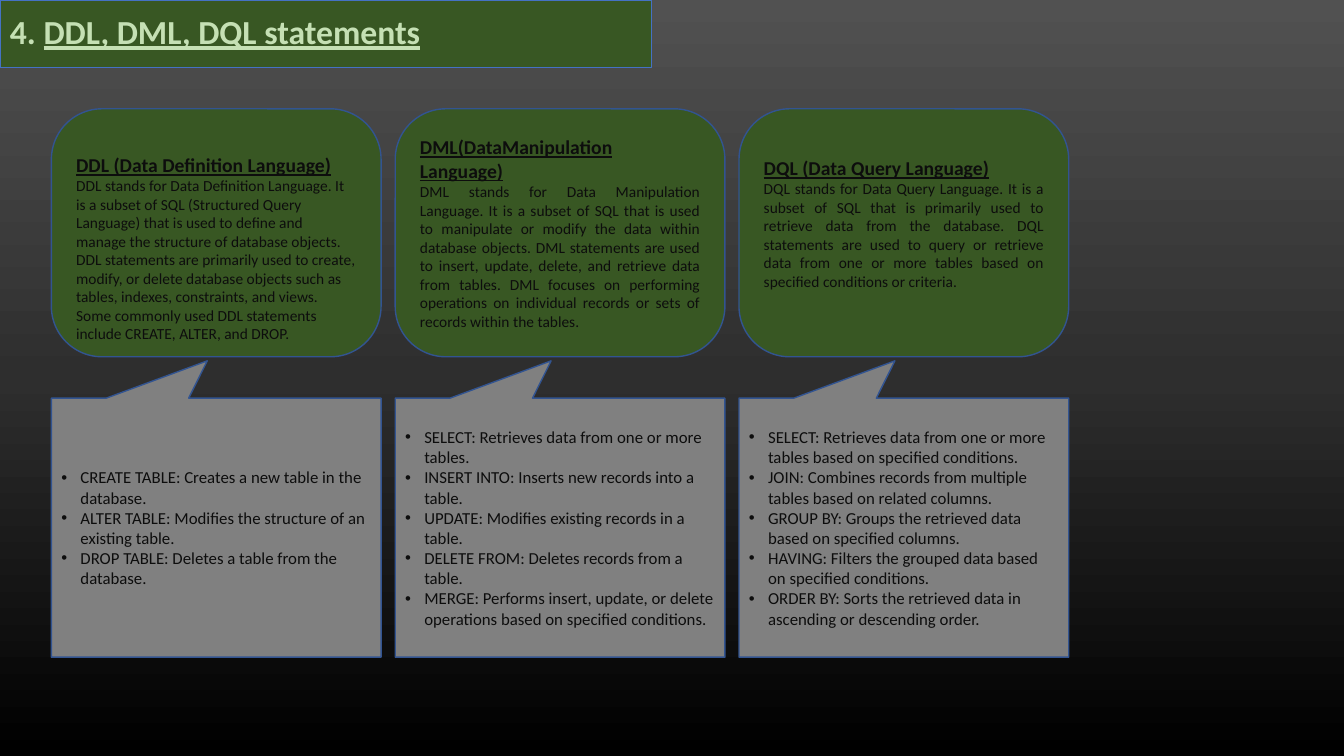
from copy import deepcopy

from pptx import Presentation
from pptx.dml.color import RGBColor
from pptx.enum.shapes import MSO_SHAPE as SHAPE
from pptx.enum.text import MSO_ANCHOR as ANCHOR, PP_ALIGN as ALIGN
from pptx.oxml.ns import qn
from pptx.util import Inches, Pt

GREEN, GRAY, BLUE, INK = "385723", "808080", "325491", "0D0D0D"
COLUMN_LEFT, COLUMN_STEP, COLUMN_WIDTH = 0.51, 3.41, 3.27

# heading, definition, alignment, top and bottom margins, statements
LANGUAGES = [
    ("DDL (Data Definition Language)",
     "DDL stands for Data Definition Language. It is a subset of SQL (Structured Query Language) "
     "that is used to define and manage the structure of database objects. DDL statements are "
     "primarily used to create, modify, or delete database objects such as tables, indexes, "
     "constraints, and views. Some commonly used DDL statements include CREATE, ALTER, and DROP.",
     ALIGN.LEFT, (0.35, 0.05),
     ["CREATE TABLE: Creates a new table in the database.",
      "ALTER TABLE: Modifies the structure of an existing table.",
      "DROP TABLE: Deletes a table from the database."]),
    ("DML(DataManipulation Language)",
     "DML stands for Data Manipulation Language. It is a subset of SQL that is used to manipulate "
     "or modify the data within database objects. DML statements are used to insert, update, "
     "delete, and retrieve data from tables. DML focuses on performing operations on individual "
     "records or sets of records within the tables.",
     ALIGN.JUSTIFY, (0.05, 0.05),
     ["SELECT: Retrieves data from one or more tables.",
      "INSERT INTO: Inserts new records into a table.",
      "UPDATE: Modifies existing records in a table.",
      "DELETE FROM: Deletes records from a table.",
      "MERGE: Performs insert, update, or delete operations based on specified conditions."]),
    ("DQL (Data Query Language)",
     "DQL stands for Data Query Language. It is a subset of SQL that is primarily used to "
     "retrieve data from the database. DQL statements are used to query or retrieve data from "
     "one or more tables based on specified conditions or criteria.",
     ALIGN.JUSTIFY, (0.05, 0.24),
     ["SELECT: Retrieves data from one or more tables based on specified conditions.",
      "JOIN: Combines records from multiple tables based on related columns.",
      "GROUP BY: Groups the retrieved data based on specified columns.",
      "HAVING: Filters the grouped data based on specified conditions.",
      "ORDER BY: Sorts the retrieved data in ascending or descending order."]),
]


def rgb(color):
    return RGBColor.from_string(color)


def add_box(s, kind, box, fill, line=BLUE, adjustments=()):
    """Add a filled shape with a thin outline and middle-anchored text."""
    sp = s.shapes.add_shape(kind, *map(Inches, box))
    sp.shadow.inherit = False
    sp.fill.solid()
    sp.fill.fore_color.rgb = rgb(fill)
    sp.line.color.rgb = rgb(line)
    sp.line.width = Pt(1)
    for i, value in enumerate(adjustments):
        sp.adjustments[i] = value
    sp.text_frame.word_wrap = True
    sp.text_frame.vertical_anchor = ANCHOR.MIDDLE
    return sp


def add_paragraph(tf, first=False, align=ALIGN.LEFT):
    p = tf.paragraphs[0] if first else tf.add_paragraph()
    p.alignment = align
    return p


def add_run(p, text, size=12, color=INK, bold=False, underline=False):
    r = p.add_run()
    r.text = text
    r.font.name = "Calibri"
    r.font.size = Pt(size)
    r.font.color.rgb = rgb(color)
    r.font.bold = bold
    r.font.underline = underline


def add_bullet(p):
    pPr = p._p.get_or_add_pPr()
    pPr.set("marL", str(Inches(0.19)))
    pPr.set("indent", str(Inches(-0.19)))
    pPr.makeelement
    for tag, key, value in (("a:buFont", "typeface", "Arial"), ("a:buChar", "char", "•")):
        pPr.append(pPr.makeelement(qn(tag), {key: value}))


def paint_background(s):
    fill = s.background.fill
    fill.gradient()
    fill.gradient_angle = 270
    stops = s.element.find(".//" + qn("a:gsLst"))
    stops.append(deepcopy(stops[-1]))
    for stop, position, color in zip(fill.gradient_stops, (0, 0.5, 1),
                                     ("515151", "2E2E2E", "000000")):
        stop.position = position
        stop.color.rgb = rgb(color)


def add_title(s, box):
    sp = add_box(s, SHAPE.RECTANGLE, box, GREEN, line="4472C4")
    p = add_paragraph(sp.text_frame, first=True)
    p.line_spacing = 0.9
    add_run(p, "4. ", size=24, color="C5E0B4", bold=True)
    add_run(p, "DDL, DML, DQL statements", size=24, color="C5E0B4", bold=True, underline=True)


def add_definition(s, box, heading, definition, align, margins):
    tf = add_box(s, SHAPE.ROUNDED_RECTANGLE, box, GREEN, adjustments=[0.204]).text_frame
    tf.margin_top, tf.margin_bottom = map(Inches, margins)
    add_run(add_paragraph(tf, first=True, align=align), heading,
            size=14, bold=True, underline=True)
    add_run(add_paragraph(tf, align=align), definition, size=11)


def add_statements(s, box, statements):
    sp = add_box(s, SHAPE.RECTANGULAR_CALLOUT, box, GRAY, adjustments=[-0.027, -0.644])
    for i, statement in enumerate(statements):
        p = add_paragraph(sp.text_frame, first=i == 0)
        add_bullet(p)
        add_run(p, statement)


def main():
    prs = Presentation()
    prs.slide_width, prs.slide_height = Inches(13.33), Inches(7.5)
    s = prs.slides.add_slide(prs.slide_layouts[6])
    paint_background(s)
    add_title(s, (0, 0, 6.46, 0.67))
    for i, (heading, definition, align, margins, statements) in enumerate(LANGUAGES):
        left = COLUMN_LEFT + i * COLUMN_STEP
        add_statements(s, (left, 3.95, COLUMN_WIDTH, 2.57), statements)
        add_definition(s, (left, 1.08, COLUMN_WIDTH, 2.46), heading, definition, align, margins)
    prs.save("out.pptx")


if __name__ == "__main__":
    main()
